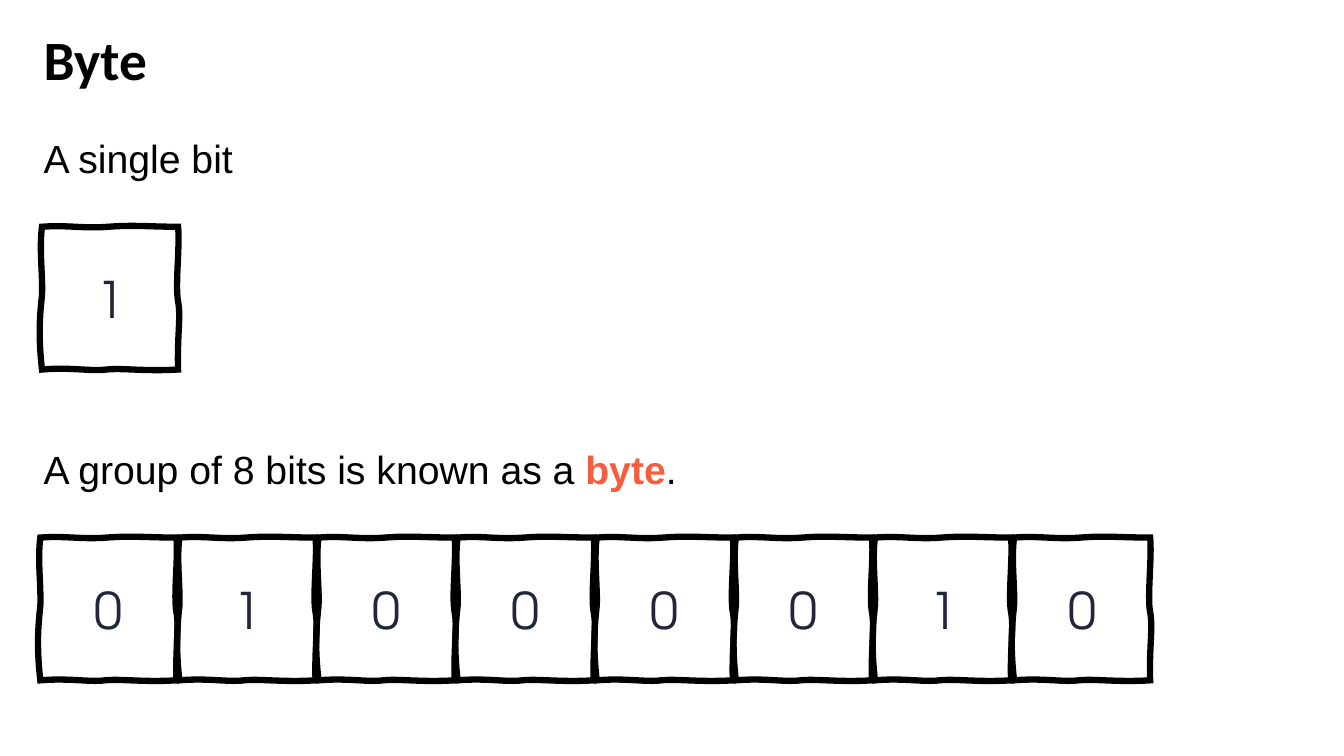
from dataclasses import dataclass

import lxml.etree
import pptx
import pptx.dml.color
import pptx.enum.text
import pptx.oxml.ns
import pptx.shapes.autoshape
import pptx.slide
import pptx.util

SLIDE_WIDTH = pptx.util.Inches(13.333)
SLIDE_HEIGHT = pptx.util.Inches(7.5)
COLUMNS, ROWS = 160, 90
COLUMN = SLIDE_WIDTH / COLUMNS
ROW = SLIDE_HEIGHT / ROWS
BIT_WIDTH, BIT_HEIGHT = 16.2, 17
BIT_PITCH = 16.56

Point = tuple[float, float]


@dataclass(frozen=True)
class Theme:
    ink: str = "000000"
    digit: str = "212738"
    accent: str = "F55D3E"
    title_font: str = "Calibri"
    body_font: str = "Arial"
    digit_font: str = "TeX Gyre Adventor"
    title_size: float = 39.6
    body_size: float = 28
    digit_size: float = 36
    outline_width: float = 4.5
    line_spacing: float = 0.9


@dataclass(frozen=True)
class Label:
    row: float
    height: float
    spans: tuple[tuple[str, bool], ...]
    is_title: bool = False


@dataclass(frozen=True)
class BitRow:
    column: float
    row: float
    bits: str


THEME = Theme()
LABELS = (
    Label(3, 9, (("Byte", False),), is_title=True),
    Label(16, 8, (("A single bit", False),)),
    Label(53, 8, (("A group of 8 bits is known as a ", False), ("byte", True), (".", False))),
)
BIT_ROWS = (BitRow(5, 27, "1"), BitRow(4.8, 64, "01000010"))
SKETCHED_SIDES: tuple[tuple[Point, Point, Point], ...] = (
    ((3, -0.24), (4.8, 0.24), (7.92, 0)),
    ((10.92, -0.24), (12.84, 0), (16.2, 0)),
    ((16.44, 2.28), (15.84, 6.96), (16.2, 8.88)),
    ((16.56, 10.8), (16.08, 12.96), (16.2, 17)),
    ((12.24, 17.24), (9.6, 16.8), (7.68, 17)),
    ((5.76, 17.24), (3.48, 16.7), (0, 17)),
    ((-0.48, 12.84), (-0.24, 10.32), (0, 8.16)),
    ((0.12, 6), (-0.36, 2.64), (0, 0)),
)


def across(columns: float) -> int:
    return round(columns * COLUMN)


def down(rows: float) -> int:
    return round(rows * ROW)


def colour(code: str) -> pptx.dml.color.RGBColor:
    return pptx.dml.color.RGBColor.from_string(code)


def draw_label(page: pptx.slide.Slide, label: Label) -> None:
    box = page.shapes.add_textbox(across(4), down(label.row), across(152), down(label.height))
    frame = box.text_frame
    frame.word_wrap = True
    anchors = pptx.enum.text.MSO_ANCHOR
    frame.vertical_anchor = anchors.MIDDLE if label.is_title else anchors.TOP
    para = frame.paragraphs[0]
    para.line_spacing = THEME.line_spacing
    para.font.name = THEME.title_font if label.is_title else THEME.body_font
    para.font.size = pptx.util.Pt(THEME.title_size if label.is_title else THEME.body_size)
    para.font.bold = label.is_title
    para.font.color.rgb = colour(THEME.ink)
    for words, is_key in label.spans:
        span = para.add_run()
        span.text = words
        if is_key:
            span.font.bold = True
            span.font.color.rgb = colour(THEME.accent)


def bend_sides(cell: pptx.shapes.autoshape.Shape) -> None:
    qn = pptx.oxml.ns.qn
    outline = cell._element.spPr.find(f".//{qn('a:path')}")
    for straight in outline.findall(qn("a:lnTo")):
        outline.remove(straight)
    closing = outline.find(qn("a:close"))
    for side in SKETCHED_SIDES:
        curve = lxml.etree.Element(qn("a:cubicBezTo"))
        for x, y in side:
            lxml.etree.SubElement(curve, qn("a:pt"), x=str(across(x)), y=str(down(y)))
        closing.addprevious(curve)


def style_outline(cell: pptx.shapes.autoshape.Shape) -> None:
    cell.shadow.inherit = False
    cell.fill.background()
    cell.line.color.rgb = colour(THEME.ink)
    cell.line.width = pptx.util.Pt(THEME.outline_width)
    line = cell.line._get_or_add_ln()
    lxml.etree.SubElement(line, pptx.oxml.ns.qn("a:miter"), lim="800000")


def draw_bit(page: pptx.slide.Slide, column: float, row: float, bit: str) -> None:
    left, top = across(column), down(row)
    right, bottom = left + across(BIT_WIDTH), top + down(BIT_HEIGHT)
    builder = page.shapes.build_freeform(left, top)
    builder.add_line_segments([(right, top), (right, bottom), (left, bottom)], close=True)
    cell = builder.convert_to_shape()
    bend_sides(cell)
    style_outline(cell)
    frame = cell.text_frame
    frame.vertical_anchor = pptx.enum.text.MSO_ANCHOR.MIDDLE
    para = frame.paragraphs[0]
    para.text = bit
    para.alignment = pptx.enum.text.PP_ALIGN.CENTER
    para.font.name = THEME.digit_font
    para.font.size = pptx.util.Pt(THEME.digit_size)
    para.font.color.rgb = colour(THEME.digit)


def draw_bit_row(page: pptx.slide.Slide, bit_row: BitRow) -> None:
    for index, bit in enumerate(bit_row.bits):
        draw_bit(page, bit_row.column + index * BIT_PITCH, bit_row.row, bit)


def main() -> None:
    deck = pptx.Presentation()
    deck.slide_width = SLIDE_WIDTH
    deck.slide_height = SLIDE_HEIGHT
    page = deck.slides.add_slide(deck.slide_layouts[6])
    for label in LABELS:
        draw_label(page, label)
    for bit_row in BIT_ROWS:
        draw_bit_row(page, bit_row)
    deck.save("out.pptx")


if __name__ == "__main__":
    main()
